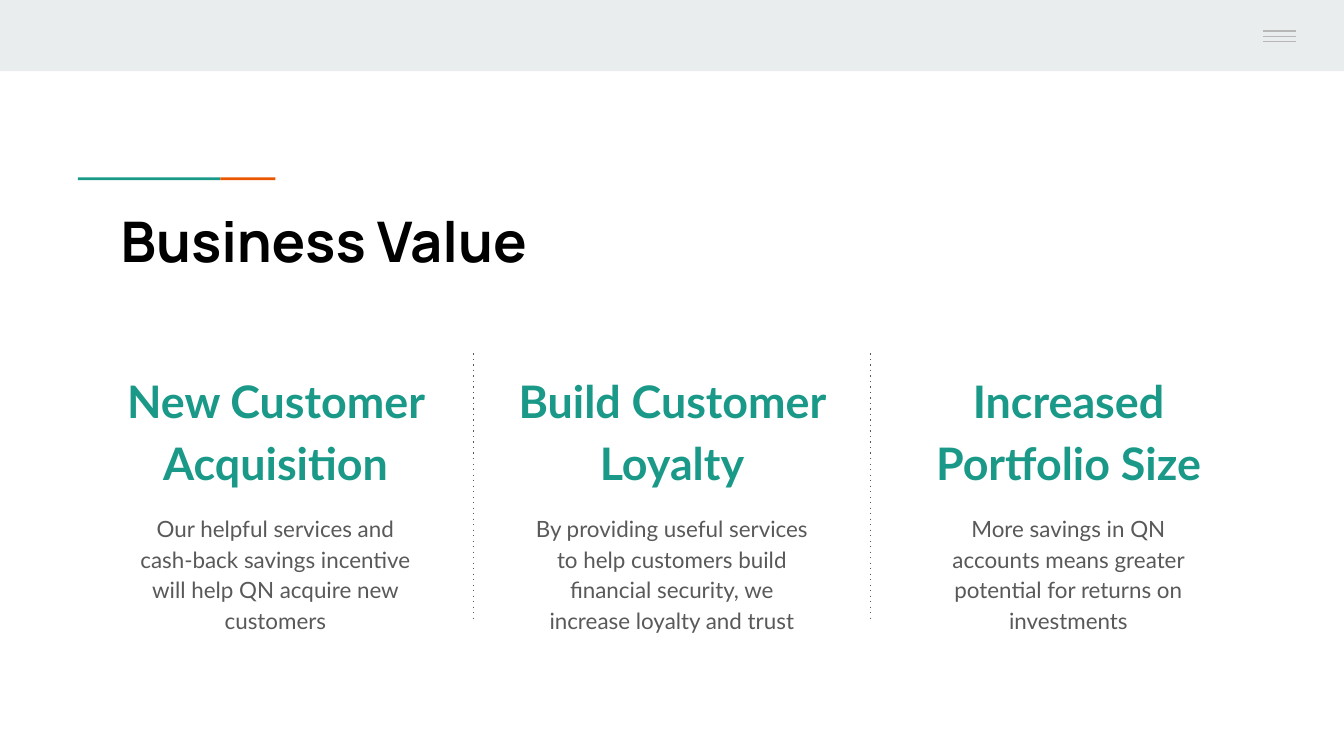
from pptx import Presentation
from pptx.dml.color import RGBColor
from pptx.enum.shapes import MSO_CONNECTOR, MSO_SHAPE
from pptx.enum.text import MSO_ANCHOR, PP_ALIGN
from pptx.oxml.ns import qn
from pptx.util import Inches, Pt
from lxml import etree

RECT = MSO_SHAPE.RECTANGLE
STRAIGHT = MSO_CONNECTOR.STRAIGHT
TOP = MSO_ANCHOR.TOP
LEFT, CENTER = PP_ALIGN.LEFT, PP_ALIGN.CENTER

TEAL, ORANGE = "1A9988", "EB5600"
BAND, GREY, BODY, BLACK = "E9EDEE", "B7B7B7", "595959", "000000"

VALUES = [
    ("New Customer Acquisition",
     "Our helpful services and cash-back savings incentive "
     "will help QN acquire new customers"),
    ("Build Customer Loyalty",
     "By providing useful services to help customers build "
     "financial security, we increase loyalty and trust"),
    ("Increased Portfolio Size",
     "More savings in QN accounts means greater potential "
     "for returns on investments"),
]


def color(code):
    return RGBColor.from_string(code)


def add_rect(slide, x, y, w, h, fill):
    shape = slide.shapes.add_shape(RECT, Inches(x), Inches(y), Inches(w), Inches(h))
    shape.shadow.inherit = False
    shape.fill.solid()
    shape.fill.fore_color.rgb = color(fill)
    shape.line.fill.background()


def add_line(slide, x1, y1, x2, y2, stroke, dotted=False):
    line = slide.shapes.add_connector(
        STRAIGHT, Inches(x1), Inches(y1), Inches(x2), Inches(y2))
    line.line.color.rgb = color(stroke)
    line.line.width = Pt(0.75)
    props = line._element.spPr
    if dotted:
        etree.SubElement(props.find(qn("a:ln")), qn("a:prstDash"), val="dot")
    etree.SubElement(props, qn("a:effectLst"))


def add_text(slide, x, y, w, h, text, font, size, ink,
             bold=False, align=LEFT, spacing=1.0, after=0):
    box = slide.shapes.add_textbox(Inches(x), Inches(y), Inches(w), Inches(h))
    frame = box.text_frame
    frame.word_wrap = True
    frame.vertical_anchor = TOP
    frame.margin_left = frame.margin_right = Inches(0.1)
    frame.margin_top = frame.margin_bottom = Inches(0.1)
    para = frame.paragraphs[0]
    para.alignment = align
    para.line_spacing = spacing
    para.space_after = Pt(after)
    run = para.add_run()
    run.text = text
    run.font.name = font
    run.font.size = Pt(size)
    run.font.bold = bold
    run.font.color.rgb = color(ink)


def add_header(slide, x, y, w, h):
    """Top band with the menu icon at its right end."""
    add_rect(slide, x, y, w, h, BAND)
    right = x + w - 0.36
    for step in range(3):
        level = y + 0.23 + step * 0.04
        add_line(slide, right - 0.24, level, right, level, GREY)


def add_accent(slide, x, y, w, h):
    """Two-colour rule above the title."""
    tip = 0.41
    add_rect(slide, x, y, w - tip, h, TEAL)
    add_rect(slide, x + w - tip, y, tip, h, ORANGE)


def add_value(slide, x, y, w, heading, detail):
    """One column: heading and explanation."""
    add_text(slide, x, y, w, 1.04, heading, "Lato", 24, TEAL,
             True, CENTER, 1.15, 16)
    add_text(slide, x + 0.13, y + 1.08, w - 0.26, 0.81, detail, "Lato", 12, BODY,
             False, CENTER, 1.15, 16)


def add_values(slide, x, y, w, h):
    """Equal columns with dotted dividers midway in the gaps."""
    col = 2.52
    pitch = (w - col) / (len(VALUES) - 1)
    for i, (heading, detail) in enumerate(VALUES):
        left = x + i * pitch
        add_value(slide, left, y, col, heading, detail)
        if i:
            mid = left - (pitch - col) / 2
            add_line(slide, mid, y + 0.01, mid, y + h, BODY, True)


def main():
    deck = Presentation()
    deck.slide_width = Inches(10)
    deck.slide_height = deck.slide_width * 9 // 16
    slide = deck.slides.add_slide(deck.slide_layouts[6])
    add_header(slide, 0, 0, 10, 0.53)
    add_accent(slide, 0.58, 1.32, 1.47, 0.02)
    # Title
    add_text(slide, 0.8, 1.44, 3.25, 1.13, "Business Value", "Manrope", 30, BLACK, True)
    add_values(slide, 0.79, 2.62, 8.42, 2.01)
    deck.save("out.pptx")


if __name__ == "__main__":
    main()
